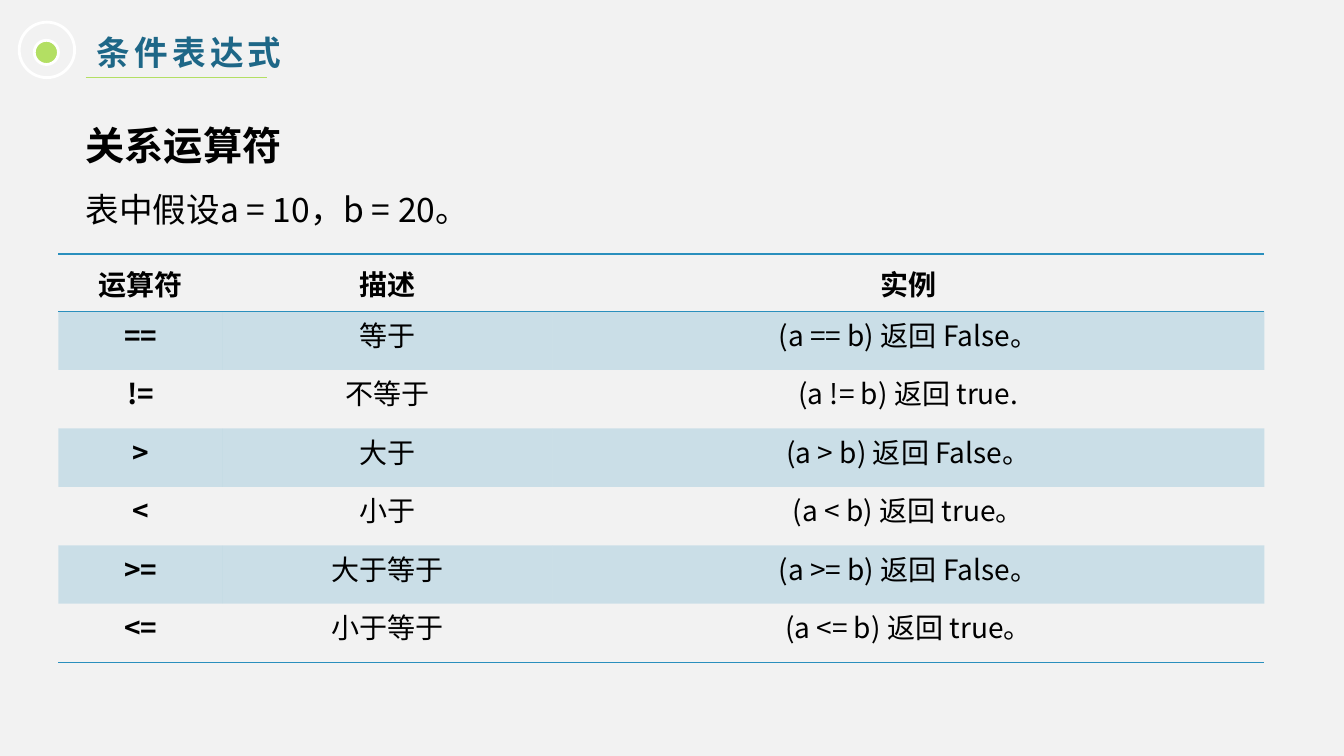
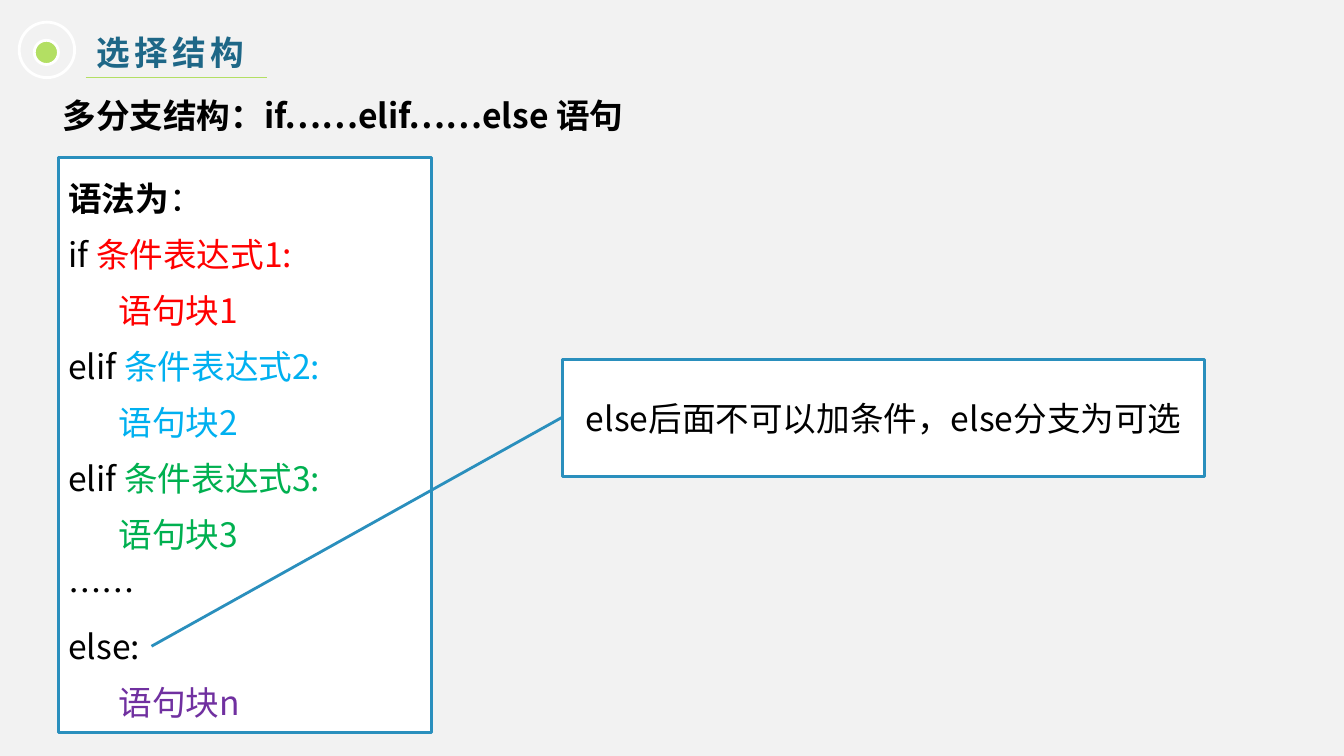
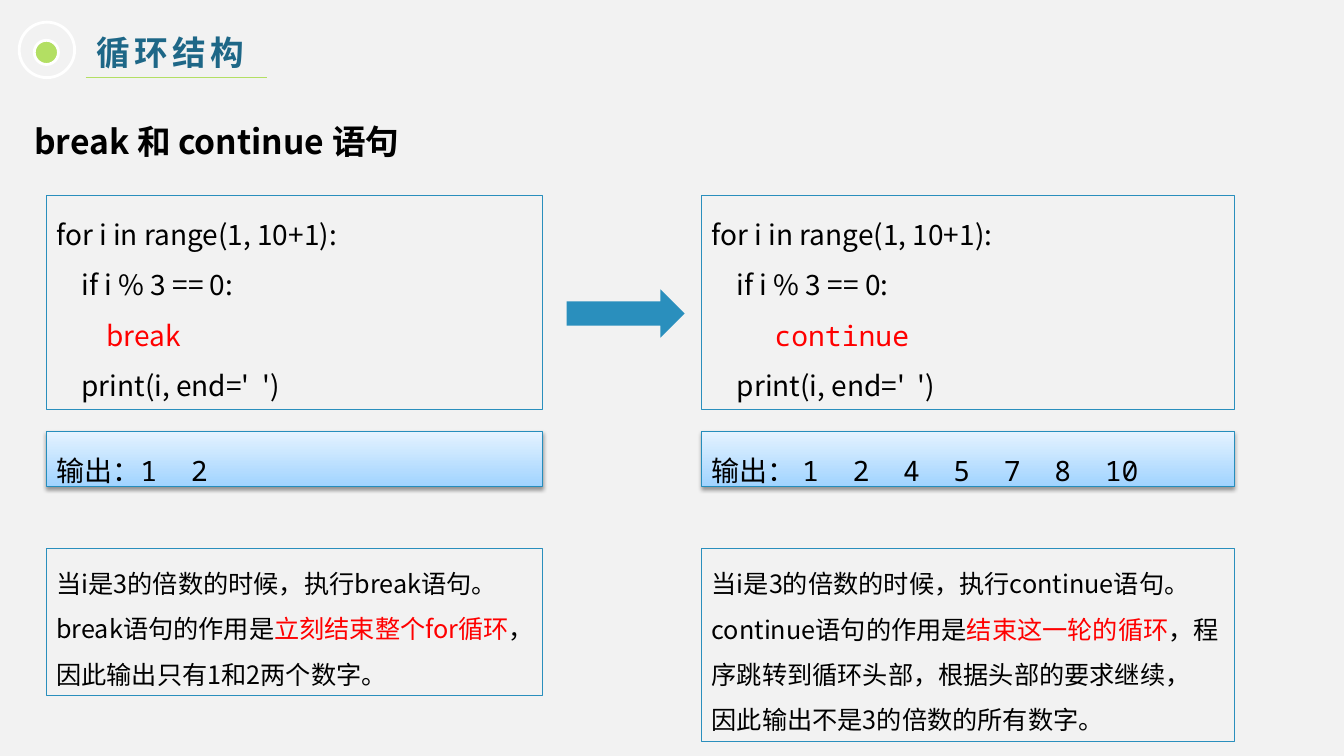
"""Build three slides on conditions, branches and loops in Python."""
from lxml.etree import SubElement
from pptx import Presentation
from pptx.dml.color import RGBColor
from pptx.enum.lang import MSO_LANGUAGE_ID
from pptx.enum.shapes import MSO_CONNECTOR, MSO_SHAPE
from pptx.enum.text import MSO_ANCHOR, MSO_AUTO_SIZE, PP_ALIGN
from pptx.oxml import parse_xml
from pptx.oxml.ns import nsdecls, qn
from pptx.util import Inches, Pt

SANS, MONO = "Noto Sans CJK SC", "Noto Sans Mono"
BLUE, NAVY, LIME, RED = "2A8FBD", "1E6787", "B3DF63", "FF0000"
WHITE, BLACK, PALE = "FFFFFF", "000000", "F2F2F2"
rgb = RGBColor.from_string


def write(frame, lines, font, para, indent=0):
    """Fill a text frame; each line is a list of (text, look) runs."""
    frame.auto_size = MSO_AUTO_SIZE.NONE
    for num, line in enumerate(lines):
        item = frame.add_paragraph() if num else frame.paragraphs[0]
        props = {"alignment": PP_ALIGN.LEFT, "space_before": Pt(0)} | para
        for key, val in props.items():
            setattr(item, key, val)
        node = item._p.get_or_add_pPr()
        node.set("marL", "0")
        node.set("indent", str(Inches(indent)))
        SubElement(node, qn("a:buNone"))
        for text, more in line:
            run = item.add_run()
            run.text = text
            look = {"name": SANS, "color": BLACK, "bold": False} | font | more
            run.font.color.rgb = rgb(look.pop("color"))
            run.font.language_id = MSO_LANGUAGE_ID.SIMPLIFIED_CHINESE
            for key, val in look.items():
                setattr(run.font, key, val)
            SubElement(run._r.rPr, qn("a:ea"), typeface=SANS)


def draw(slide, kind, area, fill=None, line=None, width=0.75):
    """Add a preset shape with plain fill and line, and top-set text."""
    shape = slide.shapes.add_shape(kind, *map(Inches, area))
    shape.shadow.inherit = False
    if fill:
        shape.fill.solid()
        shape.fill.fore_color.rgb = rgb(fill)
    else:
        shape.fill.background()
    if line:
        shape.line.color.rgb = rgb(line)
        shape.line.width = Pt(width)
    else:
        shape.line.fill.background()
    shape.text_frame.vertical_anchor = MSO_ANCHOR.TOP
    return shape


deck = Presentation()
deck.slide_width, deck.slide_height = Inches(13.33), Inches(7.5)

heads = [
    ("条件表达式", (0.46, 0.92, 11.96, 1.5), 0.29,
     [("关系运算符", 28, True, 50.4), ("表中假设a = 10，b = 20。", 24, False, 43.2)]),
    ("选择结构", (0.52, 0.82, 12.29, 0.58), 0,
     [("多分支结构：if……elif……else 语句", 24, True, 34)]),
    ("循环结构", (0.24, 0.95, 12.86, 0.7), 0,
     [("break 和 continue 语句", 24, True, 43.2)]),
]
slides = []
for name, area, indent, rows in heads:
    slide = deck.slides.add_slide(deck.slide_layouts[1])
    slides.append(slide)
    slide.background.fill.solid()
    slide.background.fill.fore_color.rgb = rgb(PALE)
    title, body = slide.placeholders
    for holder, place in ((title, (0.86, 0.27, 6.84, 0.5)), (body, area)):
        holder.left, holder.top, holder.width, holder.height = map(Inches, place)
        holder.text_frame.vertical_anchor = MSO_ANCHOR.TOP
    write(title.text_frame, [[(name, {})]],
          {"size": Pt(24), "bold": True, "color": NAVY}, {})
    title.text_frame.paragraphs[0].runs[0]._r.rPr.set("spc", "300")
    write(body.text_frame,
          [[(text, {"size": Pt(size), "bold": bold})] for text, size, bold, _ in rows],
          {}, {}, indent)
    for item, row in zip(body.text_frame.paragraphs, rows):
        item.line_spacing = Pt(row[3])
    draw(slide, MSO_SHAPE.OVAL, (0.34, 0.4, 0.24, 0.24), LIME, WHITE, 2)
    draw(slide, MSO_SHAPE.OVAL, (0.19, 0.22, 0.55, 0.55), None, WHITE, 2)
    rule = slide.shapes.add_connector(
        MSO_CONNECTOR.STRAIGHT, *map(Inches, (0.85, 0.77, 2.65, 0.77)))
    rule.line.color.rgb = rgb(LIME)
    rule.line.width = Pt(0.75)
    SubElement(rule._element.spPr, qn("a:effectLst"))
first, second, third = slides

cells = [
    ("运算符", "描述", "实例"),
    ("==", "等于", "(a == b) 返回 False。"),
    ("!=", "不等于", "(a != b) 返回 true."),
    (">", "大于", "(a > b) 返回 False。"),
    ("<", "小于", "(a < b) 返回 true。"),
    (">=", "大于等于", "(a >= b) 返回 False。"),
    ("<=", "小于等于", "(a <= b) 返回 true。"),
]
grid = first.shapes.add_table(
    len(cells), 3, *map(Inches, (0.58, 2.52, 11.96, 4.04))).table
grid.first_row = grid.horz_banding = False
grid._tbl.tblPr.find(qn("a:tableStyleId")).text = "{2D5ABB26-0587-4C30-8999-92F81FD0307C}"
for col, width in zip(grid.columns, (1.63, 3.27, 7.06)):
    col.width = Inches(width)
edges = {0: ("lnT", "lnB"), len(cells) - 1: ("lnB",)}
for r, row in enumerate(cells):
    grid.rows[r].height = Inches(0.58 if r else 0.57)
    for c, text in enumerate(row):
        cell = grid.cell(r, c)
        cell.vertical_anchor = MSO_ANCHOR.MIDDLE
        wide, high = (0.05, 0.07) if r else (0.03, 0.03)
        cell.margin_left = cell.margin_right = Inches(wide)
        cell.margin_top = cell.margin_bottom = Inches(high)
        para = {"alignment": PP_ALIGN.CENTER}
        if r:
            para["line_spacing"] = Pt(19.5)
        write(cell.text_frame, [[(text, {})]],
              {"size": Pt(20), "bold": r == 0 or c == 0}, para)
        if r % 2:
            cell.fill.solid()
            cell.fill.fore_color.rgb = rgb(BLUE)
            tint = cell._tc.tcPr.find(".//" + qn("a:srgbClr"))
            SubElement(tint, qn("a:alpha"), val="20000")
        else:
            cell.fill.background()
        for spot, side in enumerate(edges.get(r, ())):
            cell._tc.tcPr.insert(spot, parse_xml(
                f'<a:{side} {nsdecls("a")} w="12700"><a:solidFill>'
                f'<a:srgbClr val="{BLUE}"/></a:solidFill></a:{side}>'))

lines = [[("语法为", {"bold": True}), ("：", {})]]
for num, (word, tone) in enumerate(
        (("if ", RED), ("elif ", "00B0F0"), ("elif ", "00B050")), 1):
    lines.append([(word, {}), (f"条件表达式{num}:", {"color": tone})])
    lines.append([(f"\t语句块{num}", {"color": tone})])
lines += [[("……", {})], [("else:", {})], [("\t语句块n", {"color": "7030A0"})]]
box = draw(second, MSO_SHAPE.RECTANGLE, (0.58, 1.56, 3.7, 5.71), WHITE, BLUE, 2)
write(box.text_frame, lines, {"size": Pt(24)}, {"line_spacing": Pt(40)})

note = draw(second, MSO_SHAPE.LINE_CALLOUT_1, (5.58, 3.57, 6.37, 1.16), WHITE, BLUE, 2)
for num, val in enumerate((0.49, 0, 2.45, -0.64)):
    note.adjustments[num] = val
write(note.text_frame, [[("else后面不可以加条件，else分支为可选", {})]],
      {"size": Pt(24)}, {"alignment": PP_ALIGN.CENTER})
note.text_frame.vertical_anchor = MSO_ANCHOR.MIDDLE
note.text_frame.word_wrap = False

hot = {"color": RED}
sides = [
    (0.46, 4.92, 1.46, " " * 8, ("break", hot), "输出：1  2",
     [[("当i是3的倍数的时候，执行break语句。", {})],
      [("break语句的作用是", {}), ("立刻结束整个for循环", hot), ("，", {})],
      [("因此输出只有1和2两个数字。", {})]]),
    (6.96, 5.28, 1.92, " " * 10, ("continue", hot | {"name": MONO}),
     "输出： 1  2  4  5  7  8  10",
     [[("当i是3的倍数的时候，执行continue语句。continue语句的作用是", {}),
       ("结束这一轮的循环", hot),
       ("，程序跳转到循环头部，根据头部的要求继续，", {})],
      [("因此输出不是3的倍数的所有数字。", {})]]),
]
for left, width, high, pad, word, out, why in sides:
    code = [[("for i in range(1, 10+1):", {})], [("    if i % 3 == 0:", {})],
            [(pad, {}), word], [("    print(i, end='  ')", {})]]
    parts = [(1.94, 2.12, code, 20, SANS, BLUE),
             (4.28, 0.55, [[(out, {})]], 20, MONO, "258DBC"),
             (5.44, high, why, 18, SANS, BLUE)]
    for top, tall, text, size, face, edge in parts:
        box = draw(third, MSO_SHAPE.RECTANGLE, (left, top, width, tall), None, edge)
        write(box.text_frame, text, {"size": Pt(size), "name": face},
              {"line_spacing": Pt(size * 1.8)})
        box.text_frame.margin_bottom = 0
        if face == MONO:
            box.fill.gradient()
            box.fill.gradient_angle = 90
            for stop, tone in zip(box.fill.gradient_stops, ("A0D3FF", "E5F3FF")):
                stop.color.rgb = rgb(tone)
            box._element.spPr.find(qn("a:effectLst")).append(parse_xml(
                f'<a:outerShdw {nsdecls("a")} blurRad="{Pt(3.1)}" dist="{Pt(1.6)}" '
                f'dir="5400000" rotWithShape="0"><a:srgbClr val="{BLACK}">'
                '<a:alpha val="38000"/></a:srgbClr></a:outerShdw>'))
draw(third, MSO_SHAPE.RIGHT_ARROW, (5.62, 2.87, 1.17, 0.48), BLUE)

deck.save("out.pptx")
